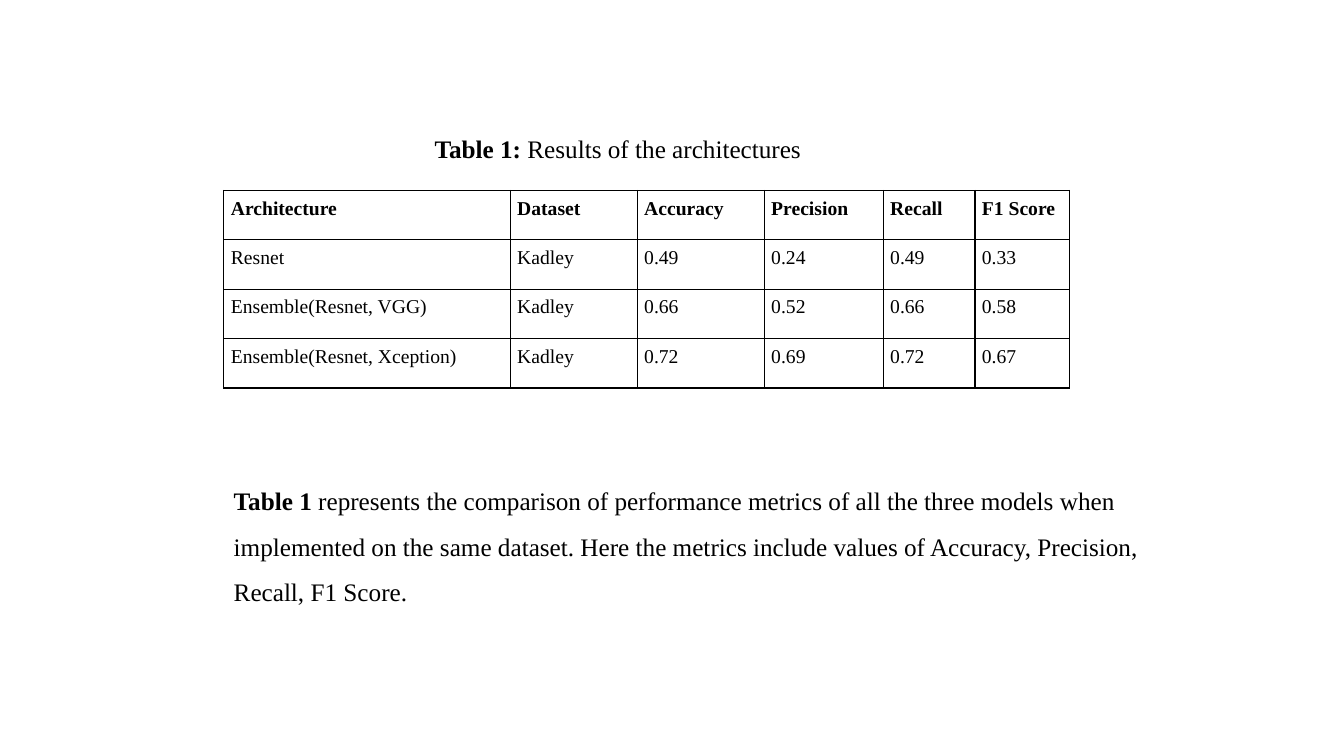
from dataclasses import dataclass

from lxml import etree
from pptx import Presentation
from pptx import util as u
from pptx.dml.color import RGBColor
from pptx.enum import text
from pptx.oxml import ns

CAPTION = [("Table 1:", True), (" Results of the architectures", False)]
RESULTS = [
    ("Architecture", "Dataset", "Accuracy", "Precision", "Recall", "F1 Score"),
    ("Resnet", "Kadley", "0.49", "0.24", "0.49", "0.33"),
    ("Ensemble(Resnet, VGG)", "Kadley", "0.66", "0.52", "0.66", "0.58"),
    ("Ensemble(Resnet, Xception)", "Kadley", "0.72", "0.69", "0.72", "0.67"),
]
EXPLANATION = [
    ("Table 1 ", True),
    ("represents the comparison of performance metrics of all the three models "
     "when implemented on the same dataset. Here the metrics include values of "
     "Accuracy, Precision, Recall, F1 Score.", False),
]
COLUMN_WIDTHS = (2.84, 1.26, 1.26, 1.18, 0.91, 0.94)
ROW_HEIGHT = 0.49
CELL_INSET = 0.07
LEFT = 2.22


@dataclass(frozen=True)
class Theme:
    font: str = "Times New Roman"
    ink: str = "000000"
    prose_size: int = 18
    table_size: int = 14
    border: float = 1


THEME = Theme()


def style(paragraph, size):
    paragraph.alignment = text.PP_ALIGN.LEFT
    paragraph.font.name = THEME.font
    paragraph.font.size = u.Pt(size)
    paragraph.font.color.rgb = RGBColor.from_string(THEME.ink)


def write_prose(frame, pieces, spacing=1.0):
    frame.word_wrap = True
    frame.auto_size = text.MSO_AUTO_SIZE.SHAPE_TO_FIT_TEXT
    frame.vertical_anchor = text.MSO_ANCHOR.TOP
    paragraph = frame.paragraphs[0]
    paragraph.line_spacing = spacing
    style(paragraph, THEME.prose_size)
    for words, bold in pieces:
        run = paragraph.add_run()
        run.text = words
        run.font.bold = bold


def add_borders(cell):
    properties = cell._tc.get_or_add_tcPr()
    for side in ("lnL", "lnR", "lnT", "lnB"):
        line = etree.SubElement(properties, ns.qn(f"a:{side}"), w=str(u.Pt(THEME.border)))
        fill = etree.SubElement(line, ns.qn("a:solidFill"))
        etree.SubElement(fill, ns.qn("a:srgbClr"), val=THEME.ink)


def fill_cell(cell, words, bold):
    cell.margin_left = cell.margin_right = u.Inches(CELL_INSET)
    cell.margin_top = cell.margin_bottom = u.Inches(CELL_INSET)
    add_borders(cell)
    cell.fill.background()
    cell.text = words
    paragraph = cell.text_frame.paragraphs[0]
    style(paragraph, THEME.table_size)
    paragraph.font.bold = bold


def add_results(slide):
    frame = slide.shapes.add_table(
        len(RESULTS), len(COLUMN_WIDTHS), u.Inches(LEFT), u.Inches(1.89),
        u.Inches(sum(COLUMN_WIDTHS)), u.Inches(ROW_HEIGHT * len(RESULTS)))
    results = frame.table
    results.horz_banding = False
    results.first_row = False
    for column, width in zip(results.columns, COLUMN_WIDTHS):
        column.width = u.Inches(width)
    for r, row in enumerate(RESULTS):
        results.rows[r].height = u.Inches(ROW_HEIGHT)
        for c, words in enumerate(row):
            fill_cell(results.cell(r, c), words, r == 0)


def main():
    deck = Presentation()
    deck.slide_width, deck.slide_height = u.Inches(13.33), u.Inches(7.5)
    slide = deck.slides.add_slide(deck.slide_layouts[5])

    caption = slide.shapes.title
    caption.left, caption.top = u.Inches(4.21), u.Inches(1.27)
    caption.width, caption.height = u.Inches(4.91), u.Inches(0.4)
    write_prose(caption.text_frame, CAPTION)

    add_results(slide)

    explanation = slide.shapes.add_textbox(
        u.Inches(LEFT), u.Inches(4.62), u.Inches(9.8), u.Inches(1.41))
    write_prose(explanation.text_frame, EXPLANATION, 1.5)

    deck.save("out.pptx")


if __name__ == "__main__":
    main()
